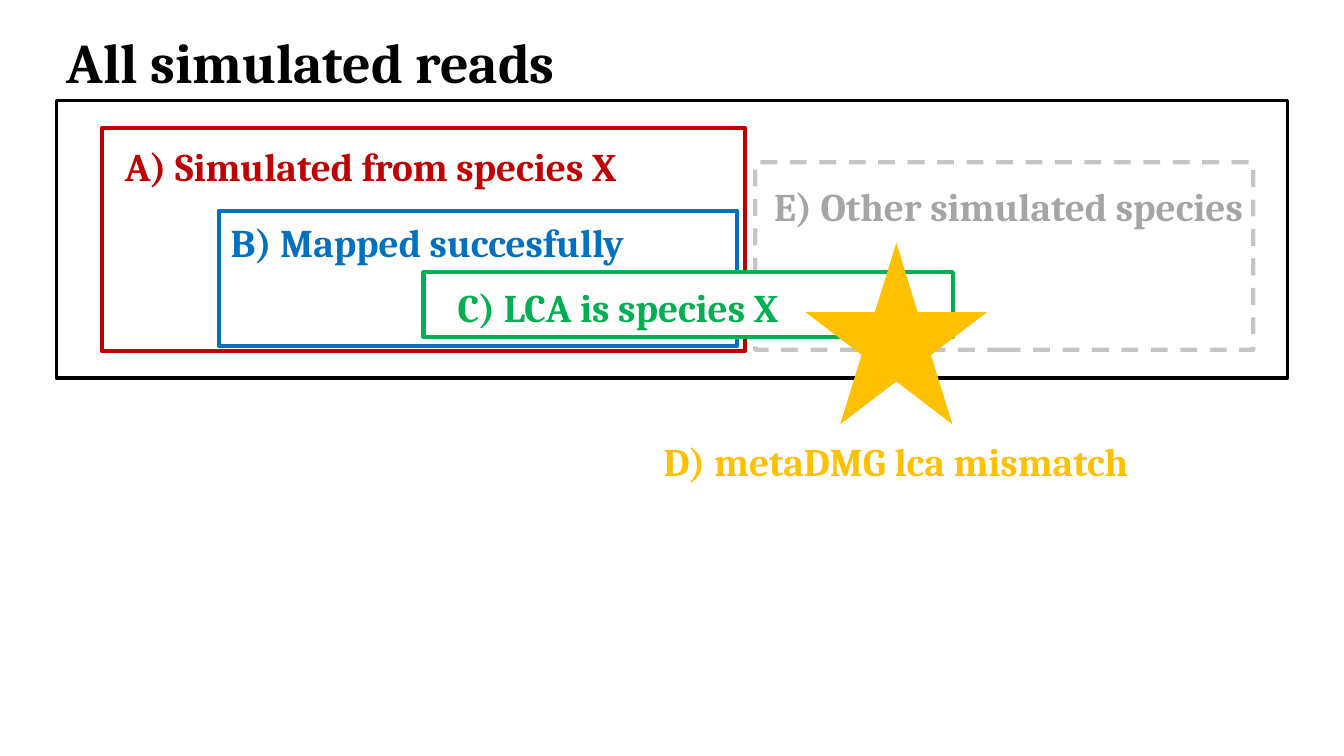
from dataclasses import dataclass
from typing import Optional

from lxml.etree import SubElement
from pptx import Presentation
from pptx.dml.color import RGBColor
from pptx.enum.dml import MSO_LINE_DASH_STYLE as Dash
from pptx.enum.shapes import MSO_SHAPE as Preset
from pptx.enum.text import MSO_ANCHOR as Anchor, MSO_AUTO_SIZE as AutoSize, PP_ALIGN as Align
from pptx.oxml.ns import qn
from pptx.shapes.autoshape import Shape
from pptx.util import Emu, Pt

PX = 9144  # EMU per px, 100 px to the inch


@dataclass(frozen=True)
class Theme:
    font: str = "Cambria"
    title_size: int = 40
    label_size: int = 28
    frame_line: float = 2.25
    set_line: float = 3
    black: str = "000000"
    white: str = "FFFFFF"
    red: str = "C00000"
    blue: str = "0070C0"
    gray: str = "A5A5A5"
    green: str = "00B050"
    gold: str = "FFC000"


@dataclass(frozen=True)
class Area:
    left: int
    top: int
    width: int
    height: int

    def emu(self) -> tuple[Emu, ...]:
        return tuple(Emu(side * PX) for side in (self.left, self.top, self.width, self.height))


@dataclass(frozen=True)
class ReadSet:
    label: str
    color: str
    box: Area
    label_area: Area
    fill: Optional[str] = None
    dashed: bool = False
    opacity: int = 100


THEME = Theme()
FRAME = Area(56, 100, 1221, 275)
TITLE = Area(56, 22, 535, 77)
STAR = Area(799, 241, 180, 180)
STAR_LABEL = Area(628, 429, 521, 57)
READ_SETS = [
    ReadSet("A) Simulated from species X", THEME.red,
            Area(101, 127, 638, 221), Area(114, 136, 535, 57)),
    ReadSet("B) Mapped succesfully", THEME.blue,
            Area(217, 209, 514, 134), Area(219, 212, 478, 57)),
    ReadSet("E) Other simulated species", THEME.gray,
            Area(749, 161, 494, 186), Area(758, 176, 508, 57), dashed=True, opacity=63),
    ReadSet("C) LCA is species X", THEME.green,
            Area(420, 270, 525, 64), Area(444, 276, 478, 57), fill=THEME.white),
]


def add_preset(shapes, preset: Preset, area: Area, fill: Optional[str] = None,
               line: Optional[str] = None, weight: float = 0) -> Shape:
    shape = shapes.add_shape(preset, *area.emu())
    shape.shadow.inherit = False
    if fill:
        shape.fill.solid()
        shape.fill.fore_color.rgb = RGBColor.from_string(fill)
    else:
        shape.fill.background()
    if line:
        shape.line.color.rgb = RGBColor.from_string(line)
        shape.line.width = Pt(weight)
    else:
        shape.line.fill.background()
    return shape


def write_text(shape: Shape, text: str, size: int, color: str, align: Align = Align.LEFT) -> None:
    frame = shape.text_frame
    frame.word_wrap = True
    frame.auto_size = AutoSize.SHAPE_TO_FIT_TEXT
    frame.vertical_anchor = Anchor.TOP
    para = frame.paragraphs[0]
    para.alignment = align
    span = para.add_run()
    span.text = text
    span.font.name = THEME.font
    span.font.size = Pt(size)
    span.font.bold = True
    span.font.color.rgb = RGBColor.from_string(color)


def add_label(shapes, text: str, area: Area, color: str, align: Align = Align.LEFT) -> None:
    write_text(shapes.add_textbox(*area.emu()), text, THEME.label_size, color, align)


def add_read_set(page, item: ReadSet) -> None:
    members = page.shapes.add_group_shape().shapes
    box = add_preset(members, Preset.RECTANGLE, item.box, item.fill, item.color, THEME.set_line)
    if item.dashed:
        box.line.dash_style = Dash.DASH
    if item.opacity < 100:
        line_color = box.line._get_or_add_ln().find(f".//{qn('a:srgbClr')}")
        SubElement(line_color, qn("a:alpha"), val=str(item.opacity * 1000))
    add_label(members, item.label, item.label_area, item.color)


def main() -> None:
    deck = Presentation()
    deck.slide_width, deck.slide_height = Emu(1333 * PX), Emu(750 * PX)
    page = deck.slides.add_slide(deck.slide_layouts[5])

    # Title and the frame around all reads
    title = page.shapes.title
    title.left, title.top, title.width, title.height = TITLE.emu()
    write_text(title, "All simulated reads", THEME.title_size, THEME.black)
    add_preset(page.shapes, Preset.RECTANGLE, FRAME, line=THEME.black, weight=THEME.frame_line)

    # Overlapping sets of reads
    for item in READ_SETS:
        add_read_set(page, item)

    # Mismatch star and its label
    add_preset(page.shapes, Preset.STAR_5_POINT, STAR, fill=THEME.gold)
    add_label(page.shapes, "D) metaDMG lca mismatch", STAR_LABEL, THEME.gold, Align.CENTER)

    deck.save("out.pptx")


if __name__ == "__main__":
    main()
